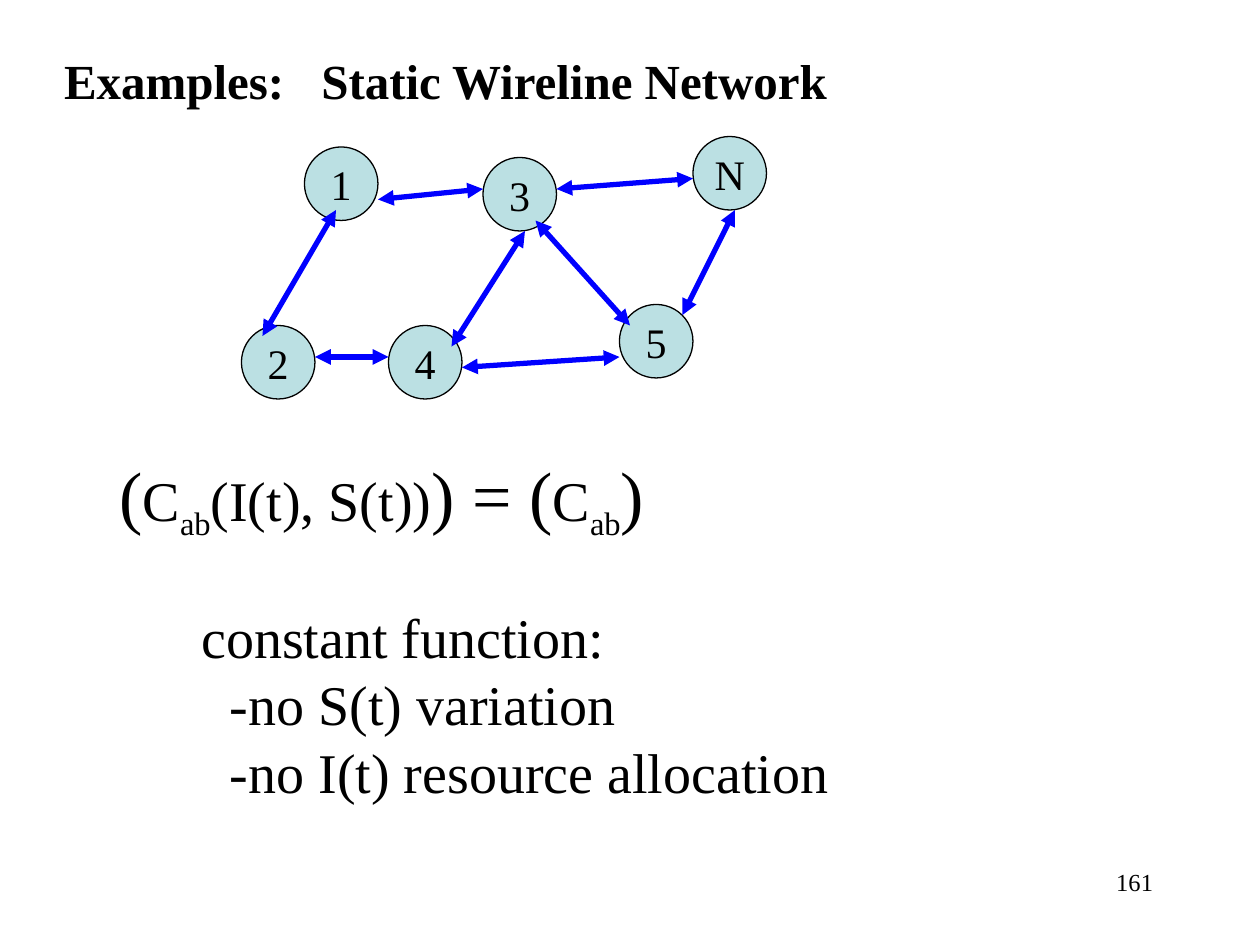
import pptx
import pptx.util
import pptx.dml.color
import pptx.enum.shapes
import pptx.enum.text
import pptx.oxml.ns
from lxml import etree

PX = 7620  # 120 px to the inch
FONT = "Times New Roman"
COLORS = {"text": "000000", "node": "BBE0E3", "outline": "000000", "link": "0000FF"}
ALIGN = pptx.enum.text.PP_ALIGN
ANCHOR = pptx.enum.text.MSO_ANCHOR

NODE_SIZE = 70
# Node positions and link ends are relative to the diagram's corner.
NODES = {"1": (60, 10), "2": (0, 180), "3": (230, 20),
         "4": (140, 180), "N": (430, 0), "5": (360, 160)}
LINKS = [
    ((90, 70), (20, 190)), ((270, 90), (200, 200)), ((430, 40), (300, 50)),
    ((470, 70), (420, 170)), ((140, 210), (70, 210)), ((280, 80), (370, 180)),
    ((230, 50), (130, 60)), ((210, 220), (360, 210)),
]
FORMULA = [("(", 40, 0), ("C", 32, 0), ("ab", 32, -25), ("(I(t), S(t))", 32, 0),
           (") = (", 40, 0), ("C", 32, 0), ("ab", 32, -25), (")", 40, 0)]


def px(*values):
    return [pptx.util.Emu(v * PX) for v in values]


def rgb(name):
    return pptx.dml.color.RGBColor.from_string(COLORS[name])


def add_xml(parent, tag, **attributes):
    return etree.SubElement(parent, pptx.oxml.ns.qn(tag), attributes)


def format_font(font, size, bold=False):
    font.name, font.size, font.bold = FONT, pptx.util.Pt(size), bold
    font.color.rgb = rgb("text")


def fit_to_text(tf):
    """Keep each paragraph on one line and let the box grow with it."""
    tf.word_wrap = False
    tf.auto_size = pptx.enum.text.MSO_AUTO_SIZE.SHAPE_TO_FIT_TEXT


def add_text_box(s, box):
    return s.shapes.add_textbox(*px(*box)).text_frame


def add_title(s, box):
    title = s.shapes.title
    title.left, title.top, title.width, title.height = px(*box)
    tf = title.text_frame
    fit_to_text(tf)
    tf.vertical_anchor = ANCHOR.TOP
    tf.text = "Examples:\tStatic Wireline Network"
    p = tf.paragraphs[0]
    p.alignment = ALIGN.LEFT
    tabs = add_xml(p._p.get_or_add_pPr(), "a:tabLst")
    add_xml(tabs, "a:tab", pos=str(245 * PX), algn="l")
    format_font(p.font, 28, bold=True)


def add_node(s, label, x, y):
    node = s.shapes.add_shape(pptx.enum.shapes.MSO_SHAPE.OVAL,
                              *px(x, y, NODE_SIZE, NODE_SIZE))
    node.shadow.inherit = False
    node.fill.solid()
    node.fill.fore_color.rgb = rgb("node")
    node.line.color.rgb = rgb("outline")
    node.line.width = pptx.util.Pt(0.75)
    tf = node.text_frame
    tf.word_wrap = False
    tf.vertical_anchor = ANCHOR.MIDDLE
    tf.text = label
    p = tf.paragraphs[0]
    p.alignment = ALIGN.CENTER
    format_font(p.font, 24)


def add_link(s, x1, y1, x2, y2):
    """Add a line with an arrowhead at both ends."""
    link = s.shapes.add_connector(pptx.enum.shapes.MSO_CONNECTOR.STRAIGHT,
                                  *px(x1, y1, x2, y2))
    link.line.color.rgb = rgb("link")
    link.line.width = pptx.util.Pt(3)
    ln = link.line._get_or_add_ln()
    add_xml(ln, "a:headEnd", type="triangle")
    add_xml(ln, "a:tailEnd", type="triangle")
    add_xml(link._element.spPr, "a:effectLst")


def add_network(s, left, top):
    for label, (x, y) in NODES.items():
        add_node(s, label, left + x, top + y)
    for (x1, y1), (x2, y2) in LINKS:
        add_link(s, left + x1, top + y1, left + x2, top + y2)


def add_formula(s, box):
    tf = add_text_box(s, box)
    fit_to_text(tf)
    p = tf.paragraphs[0]
    for text, size, baseline in FORMULA:
        r = p.add_run()
        r.text = text
        format_font(r.font, size)
        if baseline:
            r._r.get_or_add_rPr().set("baseline", str(baseline * 1000))


def add_explanation(s, box):
    tf = add_text_box(s, box)
    fit_to_text(tf)
    tf.text = "constant function:\n-no S(t) variation\n-no I(t) resource allocation"
    for i, p in enumerate(tf.paragraphs):
        if i:
            p._p.get_or_add_pPr().set("marL", str(27 * PX))
        format_font(p.font, 32)


def add_page_number(s, box):
    tf = add_text_box(s, box)
    tf.word_wrap = True
    tf.text = "161"
    p = tf.paragraphs[0]
    p.alignment = ALIGN.RIGHT
    format_font(p.font, 14)


def main():
    prs = pptx.Presentation()
    prs.slide_width, prs.slide_height = px(1200, 900)
    s = prs.slides.add_slide(prs.slide_layouts.get_by_name("Title Only"))
    add_title(s, (49, 42, 764, 68))
    add_network(s, 230, 130)
    add_formula(s, (102, 424, 530, 98))
    add_explanation(s, (180, 568, 626, 204))
    add_page_number(s, (860, 820, 250, 60))
    prs.save("out.pptx")


if __name__ == "__main__":
    main()
